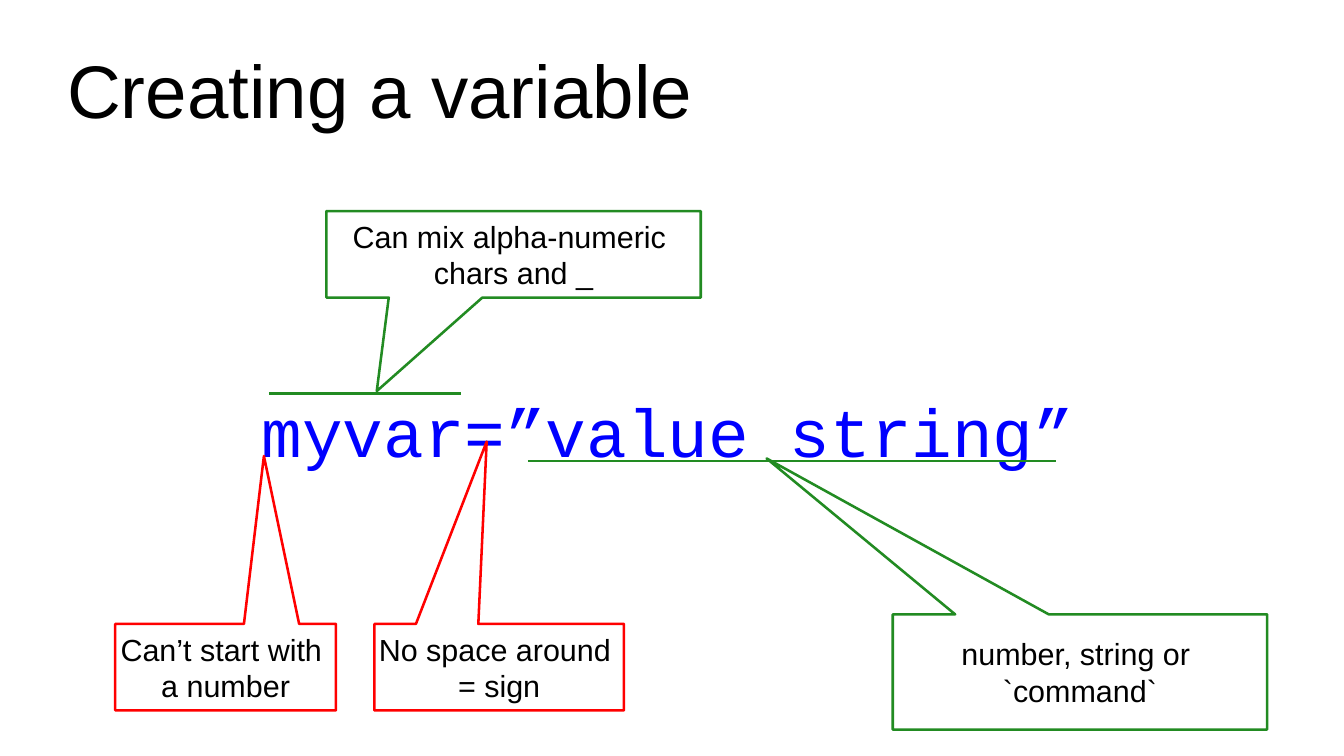
import pptx
import pptx.util
import pptx.dml.color
import pptx.enum.shapes
import pptx.enum.text
import pptx.oxml

Cm = pptx.util.Cm
Pt = pptx.util.Pt
anchor = pptx.enum.text.MSO_ANCHOR
align = pptx.enum.text.PP_ALIGN
shapes = pptx.enum.shapes
hues = {"black": "000000", "blue": "0000FF", "red": "FF0000", "green": "228B22"}


def tint(name):
    return pptx.dml.color.RGBColor.from_string(hues[name])


def write(frame, text, size=18, font="Arial", hue="black", side=align.LEFT,
          mid=anchor.MIDDLE, pad=(0, 0), wrap=True):
    frame.word_wrap = wrap
    frame.vertical_anchor = mid
    frame.margin_left = frame.margin_right = Cm(pad[0])
    frame.margin_top = frame.margin_bottom = Cm(pad[1])
    frame.text = text
    for para in frame.paragraphs:
        para.alignment = side
        para.font.size = Pt(size)
        para.font.name = font
        para.font.color.rgb = tint(hue)


deck = pptx.Presentation()
deck.slide_width = Cm(28)
deck.slide_height = Cm(15.75)
slide = deck.slides.add_slide(deck.slide_layouts[6])

title = slide.shapes.add_textbox(Cm(1.4), Cm(0.53), Cm(25.2), Cm(2.64))
write(title.text_frame, "Creating a variable", size=44)

code = slide.shapes.add_textbox(Cm(5.2), Cm(8), Cm(18.2), Cm(1.85))
write(code.text_frame, "myvar=”value string”", size=40, font="Courier New",
      hue="blue", mid=anchor.TOP, pad=(0.25, 0.13))

for start, end, level in [(5.6, 9.6, 8.2), (11, 22, 9.6)]:
    rule = slide.shapes.add_connector(
        shapes.MSO_CONNECTOR.STRAIGHT, Cm(start), Cm(level), Cm(end), Cm(level))
    rule.line.color.rgb = tint("green")
    rule.line.width = Pt(1.5)
    rule._element.spPr.append(pptx.oxml.parse_xml(
        '<a:effectLst xmlns:a="http://schemas.openxmlformats.org/drawingml/2006/main"/>'))

notes = [
    ("Can’t start with \na number", "red", 2.4, 13, 4.6, 1.8, 5.5, 9.5),
    ("Can mix alpha-numeric \nchars and _", "green", 6.8, 4.4, 7.8, 1.8, 7.85, 8.15),
    ("No space around \n= sign", "red", 7.8, 13, 5.2, 1.8, 10.14, 9.2),
    ("number, string or \n`command`", "green", 18.6, 12.8, 7.8, 2.4, 15.97, 9.55),
]
for text, hue, left, top, width, height, tip_x, tip_y in notes:
    note = slide.shapes.add_shape(
        shapes.MSO_SHAPE.RECTANGULAR_CALLOUT, Cm(left), Cm(top), Cm(width), Cm(height))
    note.adjustments[0] = (tip_x - left) / width - 0.5
    note.adjustments[1] = (tip_y - top) / height - 0.5
    note.shadow.inherit = False
    note.fill.background()
    note.line.color.rgb = tint(hue)
    note.line.width = Pt(1.5)
    write(note.text_frame, text, side=align.CENTER, pad=(0.28, 0.15), wrap=False)

deck.save("out.pptx")
